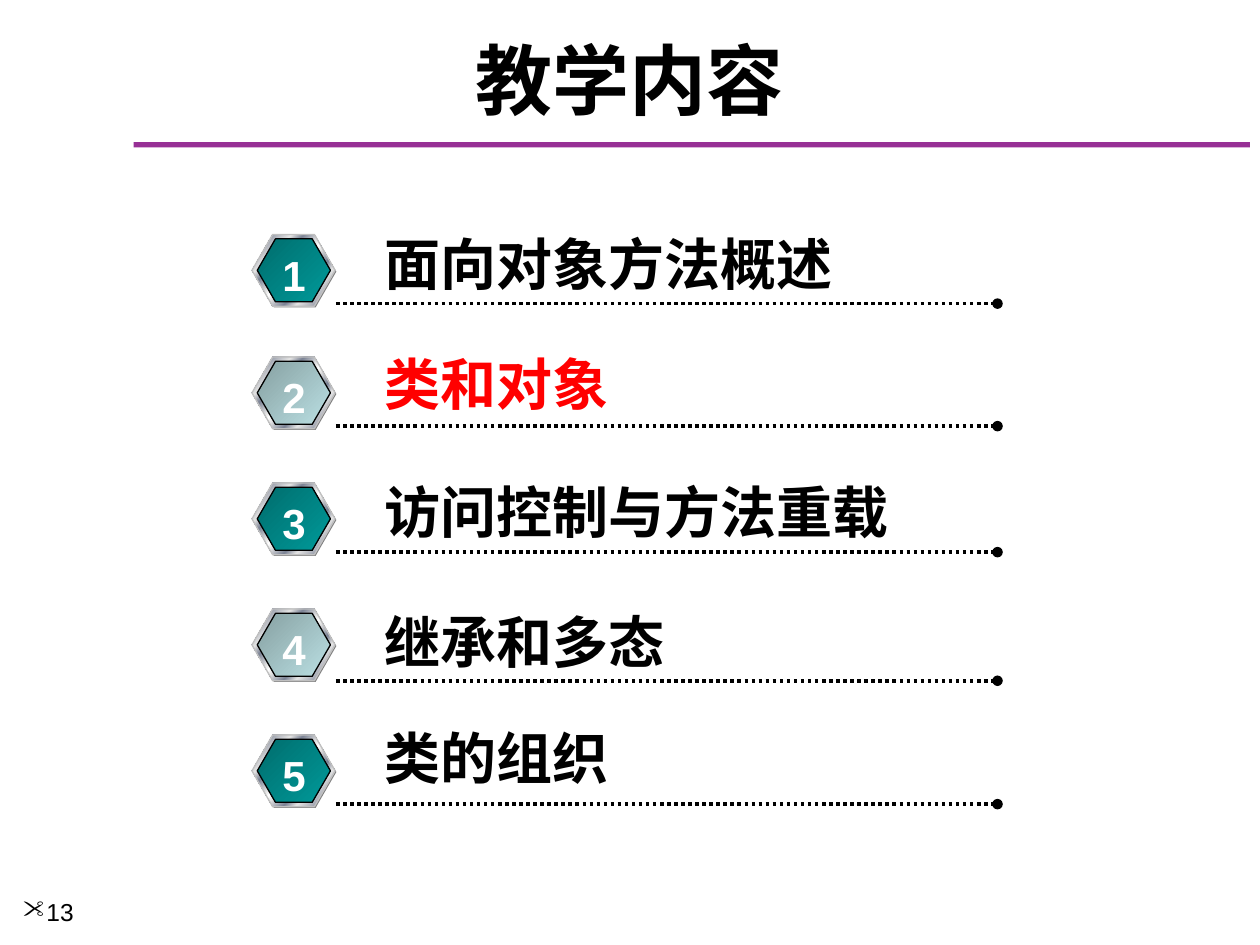
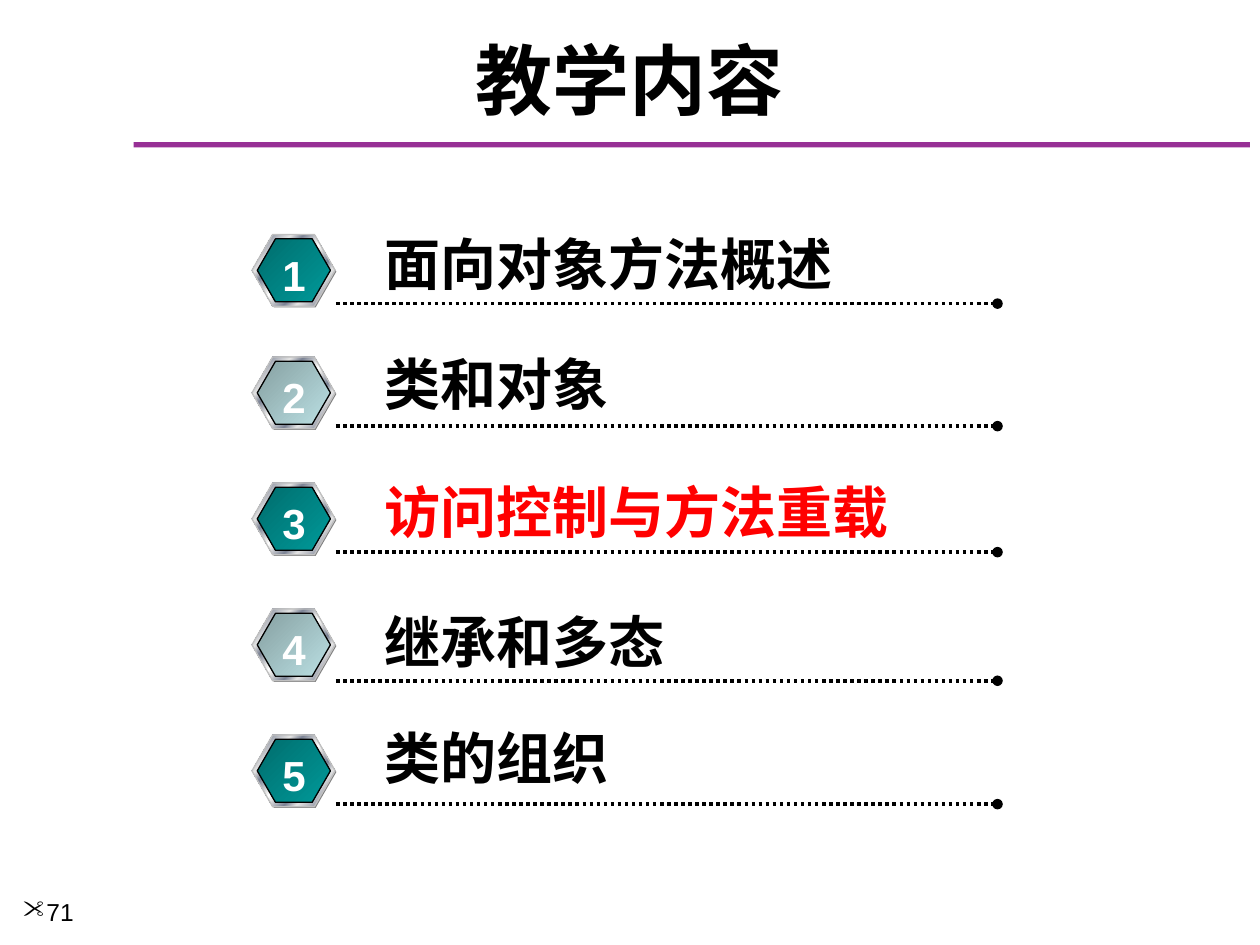
from lxml import etree
from pptx import Presentation
from pptx.dml.color import RGBColor
from pptx.enum.dml import MSO_LINE
from pptx.enum.shapes import MSO_CONNECTOR, MSO_SHAPE
from pptx.enum.text import MSO_ANCHOR, PP_ALIGN
from pptx.oxml.ns import qn
from pptx.util import Pt

TITLE = "教学内容"
# topic, label top, badge top, dotted line height
TOPICS = [
    ("面向对象方法概述", 127.5, 134, 173.5),
    ("类和对象", 196, 204, 243.5),
    ("访问控制与方法重载", 269, 276, 315.5),
    ("继承和多态", 343.5, 348, 389),
    ("类的组织", 409.5, 420, 459.5),
]
# page number, current topic
AGENDAS = [("13", "类和对象"), ("71", "访问控制与方法重载")]

BLACK = RGBColor(0x00, 0x00, 0x00)
WHITE = RGBColor(0xFF, 0xFF, 0xFF)
RED = RGBColor(0xFF, 0x00, 0x00)
PURPLE = RGBColor(0x97, 0x30, 0x95)
SHADOW_GRAY = RGBColor(0x80, 0x80, 0x80)
RIM_GRAY = RGBColor(0xC0, 0xC0, 0xC0)
PALE = RGBColor(0xE6, 0xE6, 0xE6)
STEEL = RGBColor(0x7D, 0x84, 0x96)
METAL = [(0, PALE), (8, STEEL), (26, PALE), (34, STEEL), (46, PALE), (50, WHITE),
         (54, PALE), (66, STEEL), (74, PALE), (92, STEEL), (100, PALE)]
TEAL = [(0, RGBColor(0x00, 0x6D, 0x6D)), (100, RGBColor(0x00, 0x99, 0x99))]
MIST = [(0, RGBColor(0x86, 0xA0, 0xA2)), (100, RGBColor(0xBB, 0xE0, 0xE3))]

LATIN_FONT = "Arial"
CHINESE_FONT = "Noto Sans CJK SC"
LABEL_SIZE = 32
BADGE_LEFT, LINE_LEFT, LINE_RIGHT, LABEL_LEFT = 144, 192, 570, 212.5


def add_text(shapes, text, left, top, width, height, size, color=BLACK, bold=True,
             align=PP_ALIGN.LEFT, anchor=MSO_ANCHOR.MIDDLE, font=LATIN_FONT):
    box = shapes.add_textbox(Pt(left), Pt(top), Pt(width), Pt(height))
    frame = box.text_frame
    frame.word_wrap = True
    frame.vertical_anchor = anchor
    if anchor == MSO_ANCHOR.MIDDLE:
        frame.margin_top = frame.margin_bottom = 0
    paragraph = frame.paragraphs[0]
    run = paragraph.add_run()
    run.text = text
    paragraph.alignment = align
    paragraph.font.name = font
    paragraph.font.size = Pt(size)
    paragraph.font.bold = bold
    paragraph.font.color.rgb = color
    run.font.name = font
    latin = run.font._element.find(qn("a:latin"))
    east_asian = etree.Element(qn("a:ea"), typeface=CHINESE_FONT)
    latin.addnext(east_asian)
    return paragraph


def fill_gradient(shape, stops):
    """Fill with (percent, colour) stops from top left to bottom right."""
    shape.fill.gradient()
    shape.fill.gradient_angle = 315
    stop_list = next(shape._element.spPr.iter(qn("a:gsLst")))
    for old_stop in list(stop_list):
        stop_list.remove(old_stop)
    for percent, color in stops:
        stop = etree.SubElement(stop_list, qn("a:gs"), pos=str(percent * 1000))
        etree.SubElement(stop, qn("a:srgbClr"), val=str(color))


def add_hexagon(shapes, left, top, width, height, fill, line_color=None):
    hexagon = shapes.add_shape(MSO_SHAPE.HEXAGON, Pt(left), Pt(top), Pt(width), Pt(height))
    hexagon.shadow.inherit = False
    hexagon.adjustments[0] = 0.289
    hexagon.adjustments[1] = 1.155
    if isinstance(fill, list):
        fill_gradient(hexagon, fill)
    else:
        hexagon.fill.solid()
        hexagon.fill.fore_color.rgb = fill
    if line_color is None:
        hexagon.line.fill.background()
    else:
        hexagon.line.color.rgb = line_color
        hexagon.line.width = Pt(0.75)


def add_badge(slide, number, top):
    shapes = slide.shapes.add_group_shape().shapes
    add_hexagon(shapes, BADGE_LEFT + 0.7, top + 0.7, 47.5, 41, SHADOW_GRAY)
    add_hexagon(shapes, BADGE_LEFT, top, 47.5, 41, METAL, RIM_GRAY)
    add_hexagon(shapes, BADGE_LEFT + 3, top + 2.5, 41.8, 36, TEAL if number % 2 else MIST, BLACK)
    add_text(shapes, str(number), BADGE_LEFT + 10, top + 4.8, 28, 36, 24, WHITE,
             align=PP_ALIGN.CENTER)


def add_dotted_line(slide, y):
    line = slide.shapes.add_connector(MSO_CONNECTOR.STRAIGHT, Pt(LINE_LEFT), Pt(y),
                                      Pt(LINE_RIGHT), Pt(y))
    line.line.color.rgb = BLACK
    line.line.width = Pt(2)
    line.line.dash_style = MSO_LINE.ROUND_DOT
    properties = line._element.spPr
    etree.SubElement(properties.find(qn("a:ln")), qn("a:tailEnd"), type="oval")
    etree.SubElement(properties, qn("a:effectLst"))


def add_page_number(slide, page):
    paragraph = add_text(slide.shapes, page, 6, 509, 83, 31, 14, bold=False,
                         anchor=MSO_ANCHOR.TOP)
    properties = paragraph._element.get_or_add_pPr()
    properties.set("marL", str(Pt(13.5)))
    properties.set("indent", str(-Pt(13.5)))
    bullet_font = etree.Element(qn("a:buFont"), typeface="Wingdings", charset="2")
    bullet = etree.Element(qn("a:buChar"), char='"')
    properties.insert(0, bullet_font)
    bullet_font.addnext(bullet)


def add_frame(slide, page):
    """Add the rule, title and page number that every slide carries."""
    rule = slide.shapes.add_shape(MSO_SHAPE.RECTANGLE, Pt(76.3), Pt(81.2), Pt(638), Pt(3))
    rule.shadow.inherit = False
    rule.fill.solid()
    rule.fill.fore_color.rgb = PURPLE
    rule.line.fill.background()
    add_text(slide.shapes, TITLE, 12, 18, 696, 54, 44, align=PP_ALIGN.CENTER,
             font=CHINESE_FONT)
    add_page_number(slide, page)


def add_agenda(presentation, page, current):
    slide = presentation.slides.add_slide(presentation.slide_layouts[6])
    add_frame(slide, page)
    for number, (topic, label_top, badge_top, line_y) in enumerate(TOPICS, start=1):
        add_dotted_line(slide, line_y)
        add_text(slide.shapes, topic, LABEL_LEFT, label_top, LABEL_SIZE * len(topic) + 17, 46,
                 LABEL_SIZE, RED if topic == current else BLACK)
        add_badge(slide, number, badge_top)


def main():
    presentation = Presentation()
    presentation.slide_width = Pt(720)
    presentation.slide_height = Pt(540)
    for page, current in AGENDAS:
        add_agenda(presentation, page, current)
    presentation.save("out.pptx")


if __name__ == "__main__":
    main()
